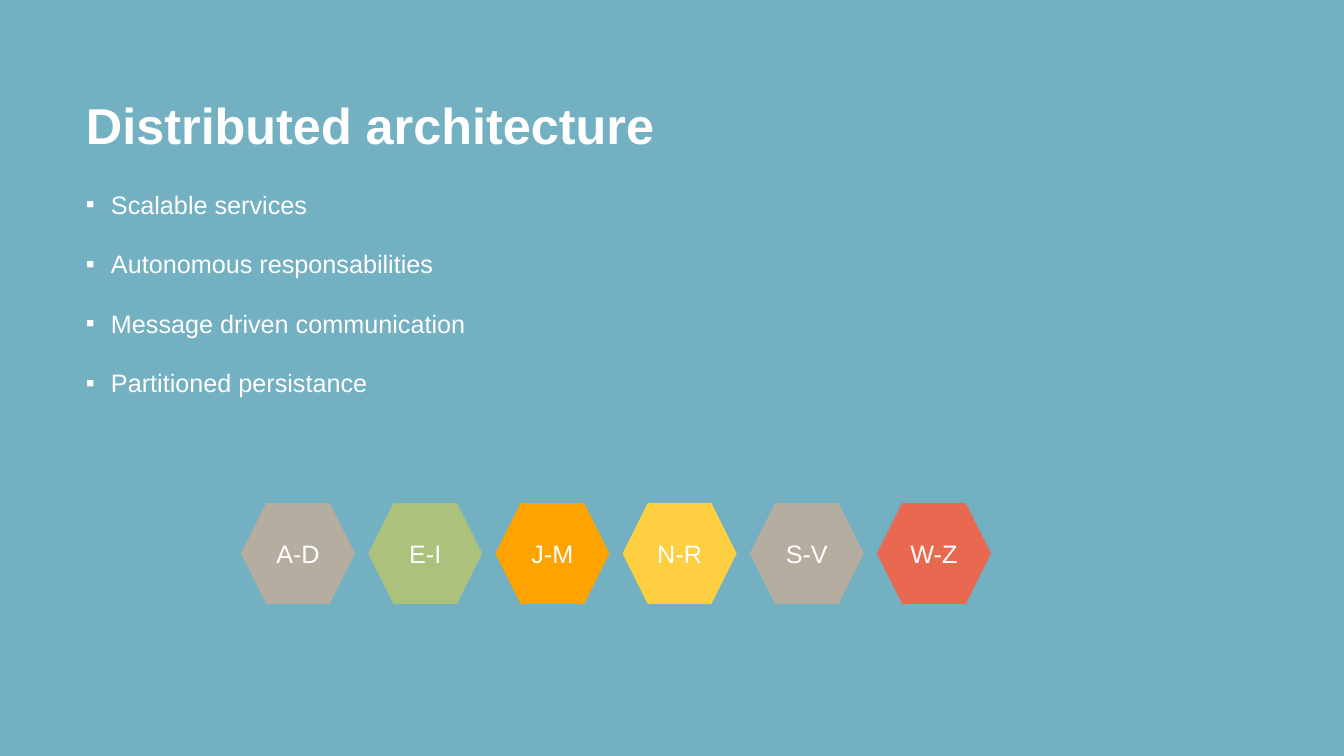
from lxml.etree import SubElement
from pptx import Presentation
from pptx.dml.color import RGBColor
from pptx.enum.shapes import MSO_SHAPE
from pptx.enum.text import MSO_ANCHOR, PP_ALIGN
from pptx.oxml.ns import qn
from pptx.util import Pt

SCALE = 914400 / 100.8
COLORS = {
    "back": "73B0C2",
    "text": "FFFFFF",
    "stone": "B5ADA0",
    "green": "ACC17C",
    "orange": "FEA300",
    "yellow": "FECF41",
    "red": "E86950",
}
TITLE = {"size": Pt(36), "bold": True, "name": "Arial"}
BODY = {"size": Pt(18), "bold": False, "name": "Arial"}
POINTS = [
    "Scalable services",
    "Autonomous responsabilities",
    "Message driven communication",
    "Partitioned persistance",
]
SHARDS = [
    ("A-D", "stone"),
    ("E-I", "green"),
    ("J-M", "orange"),
    ("N-R", "yellow"),
    ("S-V", "stone"),
    ("W-Z", "red"),
]


def px(count):
    return round(count * SCALE)


def paint(fill, color):
    fill.solid()
    fill.fore_color.rgb = RGBColor.from_string(COLORS[color])


def assign(target, values):
    for key, value in values.items():
        setattr(target, key, value)


def write(para, text, style):
    run = para.add_run()
    run.text = text
    assign(run.font, style)
    run.font.color.rgb = RGBColor.from_string(COLORS["text"])


def add_frame(slide, box, values):
    frame = slide.shapes.add_textbox(*map(px, box)).text_frame
    assign(frame, {"word_wrap": True, "margin_left": 0, **values})
    return frame


def add_title(slide, box):
    frame = add_frame(slide, box, {
        "vertical_anchor": MSO_ANCHOR.BOTTOM,
        "margin_top": px(5),
        "margin_bottom": px(5),
        "margin_right": px(10),
    })
    para = frame.paragraphs[0]
    para.line_spacing = 0.9
    write(para, "Distributed architecture", TITLE)


def add_points(slide, box):
    frame = add_frame(slide, box, {
        "margin_top": 0, "margin_bottom": 0, "margin_right": 0,
    })
    indent = px(25)
    for index, text in enumerate(POINTS):
        para = frame.add_paragraph() if index else frame.paragraphs[0]
        assign(para, {"line_spacing": 1.5, "space_before": Pt(10)})
        props = para._p.get_or_add_pPr()
        props.set("marL", str(indent))
        props.set("indent", str(-indent))
        SubElement(props, qn("a:buFont"), typeface="Arial")
        SubElement(props, qn("a:buChar"), char="▪")
        write(para, text, BODY)


def add_shards(slide, box):
    left, top, width, height = box
    cell = 114
    step = (width - cell) / (len(SHARDS) - 1)
    for index, (label, color) in enumerate(SHARDS):
        place = (left + index * step, top, cell, height)
        shape = slide.shapes.add_shape(MSO_SHAPE.HEXAGON, *map(px, place))
        shape.shadow.inherit = False
        shape.line.fill.background()
        paint(shape.fill, color)
        shape.text_frame.vertical_anchor = MSO_ANCHOR.MIDDLE
        para = shape.text_frame.paragraphs[0]
        para.alignment = PP_ALIGN.CENTER
        write(para, label, BODY)


def main():
    deck = Presentation()
    assign(deck, {"slide_width": px(1344), "slide_height": px(756)})
    slide = deck.slides.add_slide(deck.slide_layouts[6])
    paint(slide.background.fill, "back")
    add_points(slide, (86, 174, 1176, 463))
    add_title(slide, (86, 71, 1174, 89))
    add_shards(slide, (241, 503, 750, 101))
    deck.save("out.pptx")


if __name__ == "__main__":
    main()
